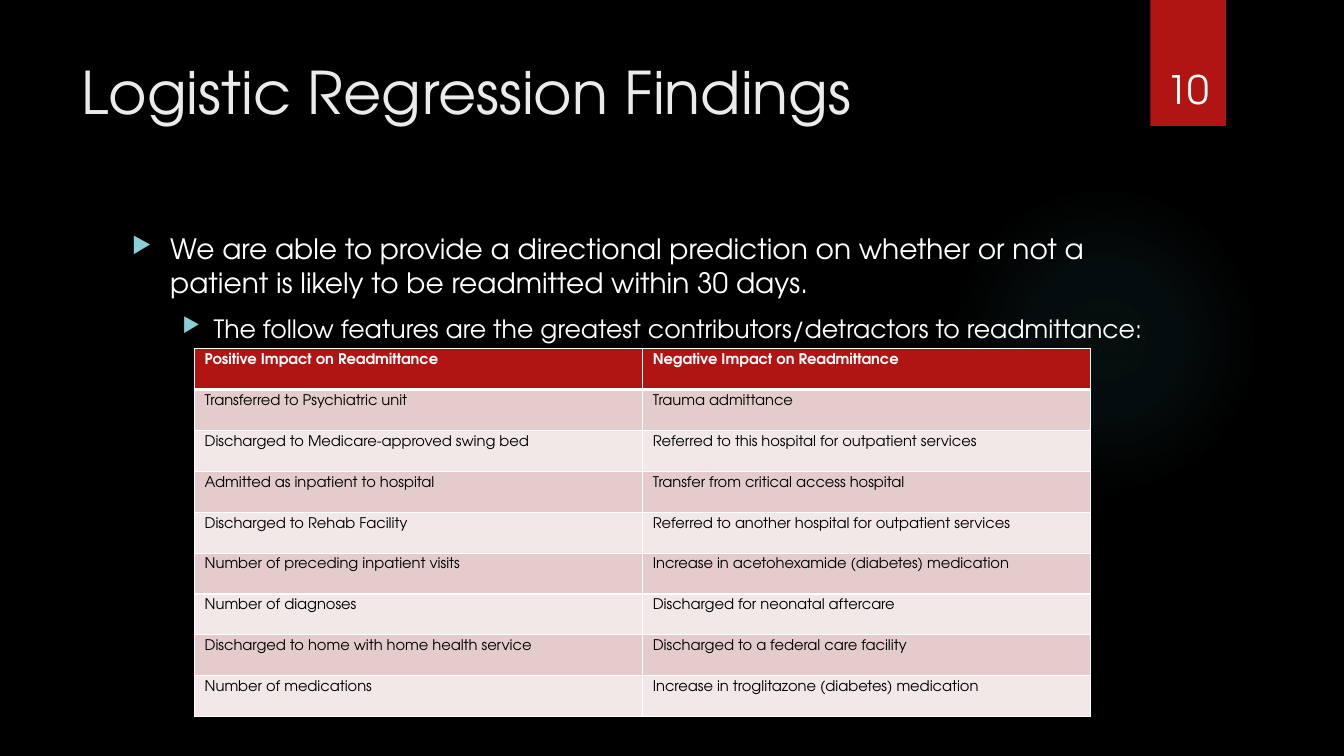
from lxml import etree
from pptx import Presentation
from pptx.dml.color import RGBColor
from pptx.enum.shapes import MSO_SHAPE
from pptx.enum.text import MSO_ANCHOR, PP_ALIGN
from pptx.oxml import parse_xml
from pptx.oxml.ns import qn
from pptx.util import Inches, Pt

OVAL, RECTANGLE = MSO_SHAPE.OVAL, MSO_SHAPE.RECTANGLE
TOP, BOTTOM = MSO_ANCHOR.TOP, MSO_ANCHOR.BOTTOM
LEFT, CENTER = PP_ALIGN.LEFT, PP_ALIGN.CENTER
DRAWING_NS = "http://schemas.openxmlformats.org/drawingml/2006/main"
FONT = "TeX Gyre Adventor"
RED, WHITE, BLACK = "B01513", "FFFFFF", "000000"


def color(hex_text):
    return RGBColor.from_string(hex_text)


def write(paragraph, text, size, ink=WHITE, bold=False, align=LEFT):
    paragraph.alignment = align
    run = paragraph.add_run()
    run.text = text
    run.font.name = FONT
    run.font.size = Pt(size)
    run.font.bold = bold
    run.font.color.rgb = color(ink)


prs = Presentation()
prs.slide_width, prs.slide_height = Inches(13.33), Inches(7.5)
slide = prs.slides.add_slide(prs.slide_layouts[6])
slide.background.fill.solid()
slide.background.fill.fore_color.rgb = color(BLACK)

glow = slide.shapes.add_shape(OVAL, Inches(9.41), Inches(1.83), Inches(3.08), Inches(3.08))
glow.shadow.inherit = False
glow.line.fill.background()
stops = "".join(
    f'<a:gs pos="{position * 1000}"><a:srgbClr val="50B9C1">'
    f'<a:alpha val="{opacity * 1000}"/></a:srgbClr></a:gs>'
    for position, opacity in [(0, 7), (36, 6), (69, 0), (100, 0)]
)
glow.element.spPr.find(qn("a:prstGeom")).addnext(parse_xml(
    f'<a:gradFill xmlns:a="{DRAWING_NS}" rotWithShape="1"><a:gsLst>{stops}</a:gsLst>'
    '<a:path path="circle"><a:fillToRect l="50000" t="50000" r="50000" b="50000"/></a:path>'
    '</a:gradFill>'
))

ribbon = slide.shapes.add_shape(RECTANGLE, Inches(11.41), 0, Inches(0.75), Inches(1.25))
ribbon.shadow.inherit = False
ribbon.line.fill.background()
ribbon.fill.solid()
ribbon.fill.fore_color.rgb = color(RED)

frames = []
for left, top, width, height, anchor in [
    (0.71, 0.5, 10.29, 1.53, TOP),
    (1.21, 2.25, 10.48, 4.59, TOP),
    (11.32, 0.32, 0.92, 0.84, BOTTOM),
]:
    frame = slide.shapes.add_textbox(
        Inches(left), Inches(top), Inches(width), Inches(height)).text_frame
    frame.word_wrap = True
    frame.vertical_anchor = anchor
    frames.append(frame)
title, body, page_number = frames

write(title.paragraphs[0], "Logistic Regression Findings", 42, ink="EBEBEB")
write(page_number.paragraphs[0], "10", 28, align=CENTER)

points = [
    ("We are able to provide a directional prediction on whether or not a "
     "patient is likely to be readmitted within 30 days.", 20, 0.38, 0.38),
    ("The follow features are the greatest contributors/detractors to readmittance:",
     18, 0.81, 0.31),
]
for level, (text, size, margin, hanging) in enumerate(points):
    point = body.paragraphs[0] if level == 0 else body.add_paragraph()
    write(point, text, size)
    point.level = level
    point.space_before = Pt(10)
    properties = point._p.get_or_add_pPr()
    properties.set("marL", str(Inches(margin)))
    properties.set("indent", str(-Inches(hanging)))
    bullet_color = etree.SubElement(properties, qn("a:buClr"))
    etree.SubElement(bullet_color, qn("a:srgbClr"), val="8AD0D6")
    etree.SubElement(properties, qn("a:buSzPct"), val="80000")
    etree.SubElement(properties, qn("a:buChar"), char="▶")

impacts = [
    ("Positive Impact on Readmittance", "Negative Impact on Readmittance"),
    ("Transferred to Psychiatric unit", "Trauma admittance"),
    ("Discharged to Medicare-approved swing bed",
     "Referred to this hospital for outpatient services"),
    ("Admitted as inpatient to hospital", "Transfer from critical access hospital"),
    ("Discharged to Rehab Facility", "Referred to another hospital for outpatient services"),
    ("Number of preceding inpatient visits", "Increase in acetohexamide (diabetes) medication"),
    ("Number of diagnoses", "Discharged for neonatal aftercare"),
    ("Discharged to home with home health service", "Discharged to a federal care facility"),
    ("Number of medications", "Increase in troglitazone (diabetes) medication"),
]
table = slide.shapes.add_table(
    len(impacts), 2, Inches(1.93), Inches(3.46), Inches(8.89), Inches(3.65)).table
for row, pair in enumerate(impacts):
    header = row == 0
    for column, text in enumerate(pair):
        cell = table.cell(row, column)
        cell.vertical_anchor = TOP
        cell.margin_top = cell.margin_bottom = Inches(0.05)
        write(cell.text_frame.paragraphs[0], text, 10.5,
              ink=WHITE if header else BLACK, bold=header)
        cell_properties = cell._tc.get_or_add_tcPr()
        for side in ("lnL", "lnR", "lnT", "lnB"):
            thick = (row, side) in [(0, "lnB"), (1, "lnT")]
            border = etree.SubElement(
                cell_properties, qn(f"a:{side}"), w=str(Pt(3 if thick else 1)))
            border_fill = etree.SubElement(border, qn("a:solidFill"))
            etree.SubElement(border_fill, qn("a:srgbClr"), val=WHITE)
        cell.fill.solid()
        cell.fill.fore_color.rgb = color(
            RED if header else "E4CCCC" if row % 2 else "F2E8E7")

prs.save("out.pptx")
